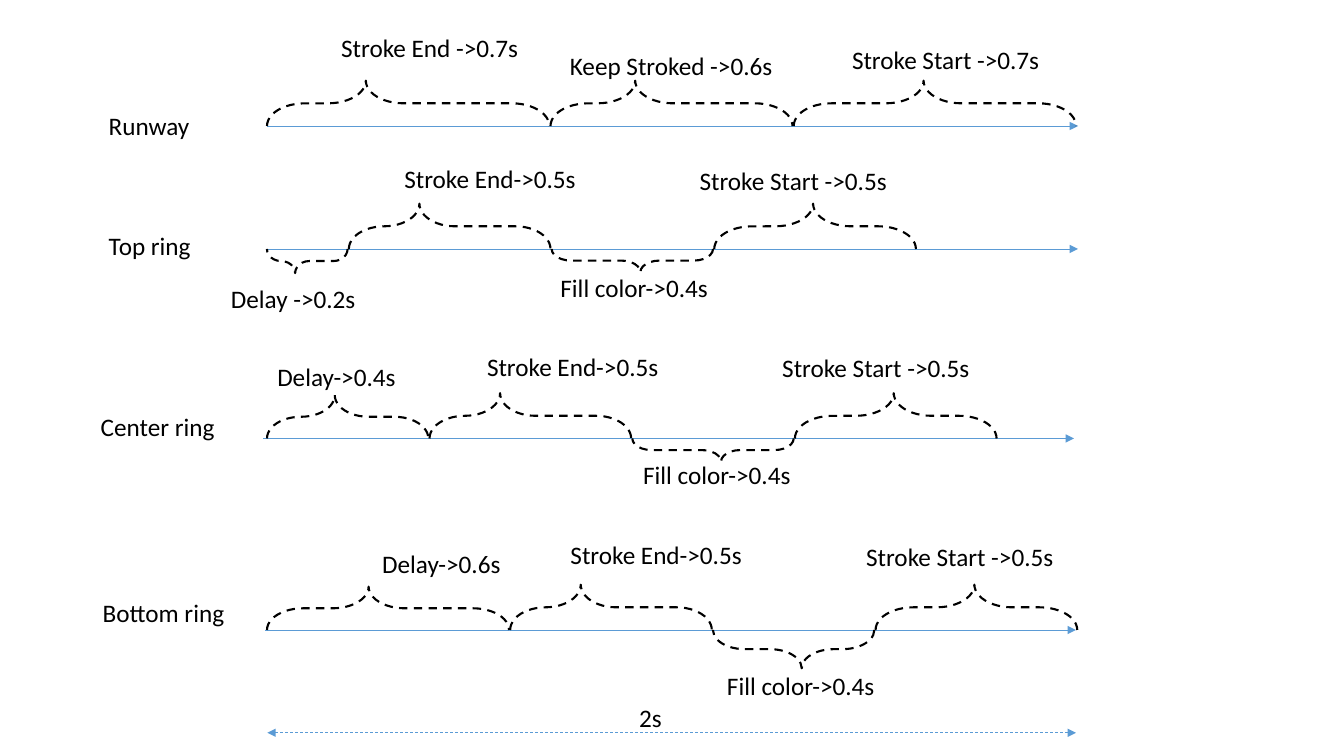
from dataclasses import dataclass

from lxml import etree
from pptx import Presentation
from pptx import util as u
from pptx.dml import color
from pptx.enum import dml, shapes, text
from pptx.oxml import ns

# Grid: one column is a tenth of a second on the timelines.
COLUMN, ROW = u.Inches(0.4), u.Inches(0.5)
COLUMNS_PER_SECOND = 10
FIRST_PHASE, PHASE_GAP = 6.62, 0.03
COLORS = {"ink": "000000", "timeline": "5B9BD5"}


@dataclass
class Label:
    """Text box with its left and width in columns, top and height in rows."""
    wording: str
    left: float
    top: float
    width: float
    height: float = 0.8
    centered: bool = False


@dataclass
class Phase:
    """Timed step; a positive depth points its brace up, a negative one down."""
    seconds: float
    depth: float
    tip: float
    label: Label


@dataclass
class Track:
    title: Label
    axis_left: float
    axis_top: float
    phases: list[Phase]


def stroke_end(left: float, top: float) -> Phase:
    return Phase(0.5, 0.9, 0.35, Label("Stroke End->0.5s", left, top, 4.8))


def stroke_start(left: float, top: float) -> Phase:
    return Phase(0.5, 0.9, 0.49, Label("Stroke Start ->0.5s", left, top, 5.2))


def fill_color(left: float, top: float, depth: float = -0.46) -> Phase:
    return Phase(0.4, depth, 0.55, Label("Fill color->0.4s", left, top, 4.2))


TRACKS = [
    Track(Label("Runway", 2.45, 2.1, 2.53), 6.63, 2.5, [
        Phase(0.7, 0.9, 0.35, Label("Stroke End ->0.7s", 8.18, 0.54, 4.95, centered=True)),
        Phase(0.6, 0.9, 0.35, Label("Keep Stroked ->0.6s", 13.85, 0.9, 5.58, centered=True)),
        Phase(0.7, 0.9, 0.46, Label("Stroke Start ->0.7s", 20.88, 0.78, 5.2)),
    ]),
    Track(Label("Top ring", 2.45, 4.48, 2.55), 6.63, 4.94, [
        Phase(0.2, -0.48, 0.35, Label("Delay ->0.2s", 5.48, 5.52, 3.63)),
        stroke_end(9.78, 3.14),
        fill_color(13.65, 5.3),
        stroke_start(17.1, 3.18),
    ]),
    Track(Label("Center ring", 2.25, 8.06, 3.38), 6.53, 8.7, [
        Phase(0.4, 0.86, 0.42, Label("Delay->0.4s", 6.63, 7.08, 3.48)),
        stroke_end(11.83, 6.88),
        fill_color(15.7, 9.02),
        stroke_start(19.15, 6.9),
    ]),
    Track(Label("Bottom ring", 2.3, 11.76, 3.55), 6.58, 12.5, [
        Phase(0.6, 0.86, 0.42, Label("Delay->0.6s", 9.23, 10.78, 3.48)),
        stroke_end(13.9, 10.6),
        fill_color(17.78, 13.2, depth=-0.76),
        stroke_start(21.23, 10.64),
    ]),
]
TOTAL = Label("2s", 15.6, 13.84, 1.08, 1.42)


def columns(count: float) -> u.Emu:
    return u.Emu(round(count * COLUMN))


def rows(count: float) -> u.Emu:
    return u.Emu(round(count * ROW))


def rgb(name: str) -> color.RGBColor:
    return color.RGBColor.from_string(COLORS[name])


def draw_label(slide, label: Label) -> None:
    box = slide.shapes.add_textbox(columns(label.left), rows(label.top),
                                   columns(label.width), rows(label.height))
    frame = box.text_frame
    frame.word_wrap = False
    frame.auto_size = text.MSO_AUTO_SIZE.SHAPE_TO_FIT_TEXT
    paragraph = frame.paragraphs[0]
    if label.centered:
        paragraph.alignment = text.PP_ALIGN.CENTER
    run = paragraph.add_run()
    run.text = label.wording
    run.font.name = "Calibri"
    run.font.size = u.Pt(18)
    run.font.color.rgb = rgb("ink")


def draw_axis(slide, left: float, top: float, length: float,
              both_ways: bool = False) -> None:
    """Draw a timeline arrow; the two-way one is dashed."""
    axis = slide.shapes.add_connector(
        shapes.MSO_CONNECTOR.STRAIGHT, columns(left), rows(top),
        columns(left + length), rows(top))
    axis.line.color.rgb = rgb("timeline")
    axis.line.width = u.Pt(0.5)
    if both_ways:
        axis.line.dash_style = dml.MSO_LINE.DASH
    properties = axis.element.spPr
    outline = properties.find(ns.qn("a:ln"))
    for end in ("a:headEnd", "a:tailEnd") if both_ways else ("a:tailEnd",):
        etree.SubElement(outline, ns.qn(end), type="triangle")
    etree.SubElement(properties, ns.qn("a:effectLst"))


def draw_brace(slide, phase: Phase, start: float, axis_top: float) -> None:
    """Turn a left brace by a quarter so that it spans the phase on its axis."""
    span = columns(phase.seconds * COLUMNS_PER_SECOND)
    depth = rows(abs(phase.depth))
    center_x = columns(start) + span // 2
    center_y = rows(axis_top - phase.depth / 2)
    brace = slide.shapes.add_shape(
        shapes.MSO_SHAPE.LEFT_BRACE, center_x - depth // 2,
        center_y - span // 2, depth, span)
    points_up = phase.depth > 0
    brace.rotation = 90 if points_up else 270
    brace.adjustments[0] = 0.83
    brace.adjustments[1] = 1 - phase.tip if points_up else phase.tip
    brace.shadow.inherit = False
    brace.fill.background()
    brace.line.color.rgb = rgb("ink")
    brace.line.width = u.Pt(1.5)
    brace.line.dash_style = dml.MSO_LINE.DASH


def draw_track(slide, track: Track) -> None:
    draw_axis(slide, track.axis_left, track.axis_top, 20.1)
    draw_label(slide, track.title)
    start = FIRST_PHASE
    for phase in track.phases:
        draw_brace(slide, phase, start, track.axis_top)
        draw_label(slide, phase.label)
        start += phase.seconds * COLUMNS_PER_SECOND + PHASE_GAP


def main() -> None:
    deck = Presentation()
    deck.slide_width, deck.slide_height = u.Inches(13.33), u.Inches(7.5)
    slide = deck.slides.add_slide(deck.slide_layouts[6])
    for track in TRACKS:
        draw_track(slide, track)
    draw_axis(slide, 6.63, 14.54, 20.05, both_ways=True)
    draw_label(slide, TOTAL)
    deck.save("out.pptx")


if __name__ == "__main__":
    main()
